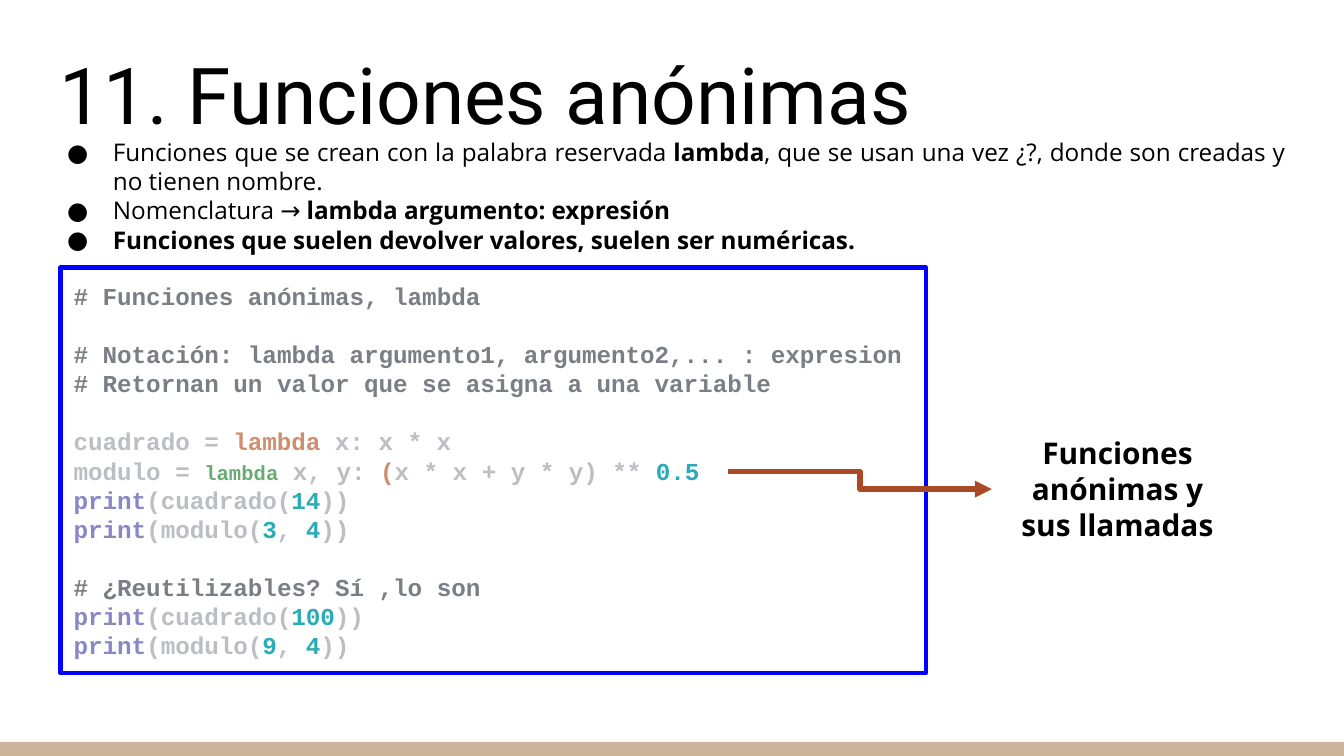
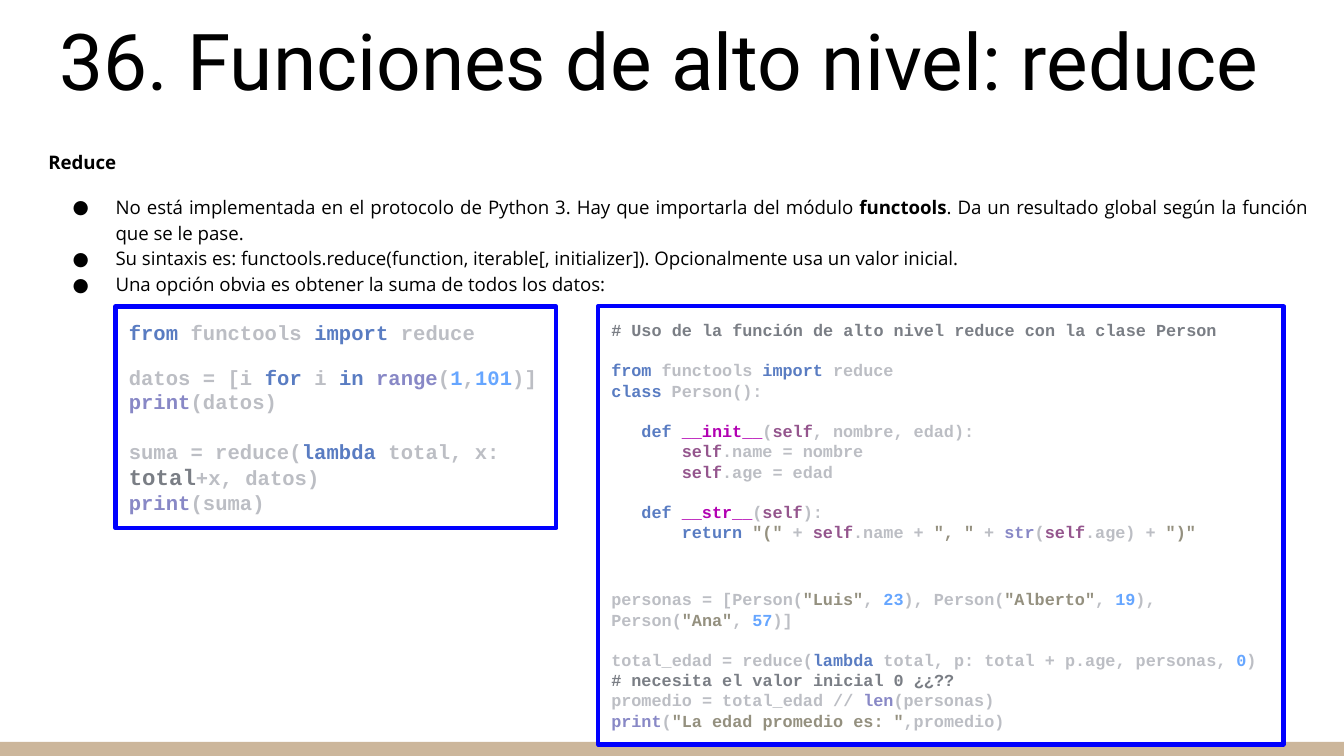
from lxml import etree
from pptx import Presentation
from pptx.dml.color import RGBColor
from pptx.enum.shapes import MSO_CONNECTOR, MSO_SHAPE
from pptx.enum.text import MSO_ANCHOR, MSO_AUTO_SIZE, PP_ALIGN
from pptx.oxml.ns import qn
from pptx.util import Inches, Pt

RECT, ELBOW = MSO_SHAPE.RECTANGLE, MSO_CONNECTOR.ELBOW
TOP, MIDDLE, BOTTOM = MSO_ANCHOR.TOP, MSO_ANCHOR.MIDDLE, MSO_ANCHOR.BOTTOM
LEFT, CENTER, JUST = PP_ALIGN.LEFT, PP_ALIGN.CENTER, PP_ALIGN.JUSTIFY
FIXED = MSO_AUTO_SIZE.NONE

COLORS = {
    "band": "CCB69B", "paper": "FFFFFF", "frame": "0000FF",
    "arrow": "AA4926", "text": "000000", "code": "BCBEC4",
}
# Markup: ~x...~ sets a piece of text in the ink x
INKS = {
    "c": "7A7E85",  # comment
    "o": "CF8E6D",  # orange keyword
    "g": "6AAB73",  # green keyword
    "n": "2AACB8",  # teal number
    "f": "8888C6",  # built-in function
    "k": "597CC2",  # blue keyword
    "d": "66A6FF",  # blue number
    "m": "B200B2",  # special method
    "s": "94558D",  # self
    "q": "94907F",  # quoted text
    "t": "7A7E85",  # larger grey name
    "b": "000000",  # bold body text
}
SIZES = {"g": 11, "t": 12}
MARGIN = Inches(0.1)
FRAME = {"margin_left": MARGIN, "margin_right": MARGIN, "margin_top": MARGIN,
         "margin_bottom": MARGIN, "word_wrap": True, "auto_size": FIXED}
HEAD = {"name": "Roboto", "size": Pt(42), "bold": False}


def rgb(name):
    return RGBColor.from_string(COLORS[name])


def put(item, values):
    for key, value in values.items():
        setattr(item, key, value)


class Deck:
    def __init__(self):
        self.prs = Presentation()
        put(self.prs, {"slide_width": Inches(10), "slide_height": Inches(5.625)})
        self.plan = self.prs.slide_layouts[1]
        self.slide = None

    def page(self, title, box):
        first = self.slide is None
        self.slide = self.prs.slides.add_slide(self.plan)
        if first:  # the band lives on the shared layout
            band = self.rect((0, 5.52, 10, 0.11), "band")
            self.plan.shapes.element.append(band.element)
        shape = self.slide.shapes.title
        self.place(shape, box)
        para = self.frame(shape, BOTTOM).paragraphs[0]
        self.ink(para, title, HEAD, "text", LEFT)

    def place(self, shape, box):
        put(shape, dict(zip(("left", "top", "width", "height"), map(Inches, box))))

    def frame(self, shape, anchor):
        put(shape.text_frame, {**FRAME, "vertical_anchor": anchor})
        return shape.text_frame

    def rect(self, box, fill, line=None):
        shape = self.slide.shapes.add_shape(RECT, *map(Inches, box))
        shape.shadow.inherit = False
        shape.fill.solid()
        shape.fill.fore_color.rgb = rgb(fill)
        if line:
            shape.line.color.rgb = rgb(line)
            shape.line.width = Pt(2.25)
        else:
            shape.line.fill.background()
        return shape

    def ink(self, para, text, font, color, align, gap=0, space=1.0):
        put(para, {"alignment": align, "space_before": Pt(gap),
                   "space_after": Pt(0), "line_spacing": space})
        for spot, piece in enumerate(text.split("~")):
            if not piece:
                continue
            run = para.add_run()
            put(run.font, font)
            run.font.color.rgb = rgb(color)
            run.text = piece
            if spot % 2:
                key = piece[0]
                run.text = piece[1:]
                run.font.bold = True
                run.font.color.rgb = RGBColor.from_string(INKS[key])
                if key in SIZES:
                    run.font.size = Pt(SIZES[key])

    def indent(self, para, left, hang=0):
        props = para._p.get_or_add_pPr()
        props.set("marL", str(Inches(left)))
        props.set("indent", str(Inches(hang)))
        return props

    def paras(self, frame, items):
        for spot, item in enumerate(items):
            yield (frame.add_paragraph() if spot else frame.paragraphs[0]), item

    def body(self, box, size, hang, items, lead=None, space=1.0):
        shape = self.slide.placeholders[1]
        self.place(shape, box)
        frame = self.frame(shape, TOP if lead else MIDDLE)
        font = {"name": "Open Sans", "size": Pt(size), "bold": False}
        if lead:
            frame.margin_top = Inches(0.2)
            items = [lead] + items
        for spot, (para, text) in enumerate(self.paras(frame, items)):
            gap = 10 if lead and spot == 1 else 0
            self.ink(para, text, font, "text", JUST, gap, space)
            if lead and spot == 0:
                etree.SubElement(self.indent(para, 0), qn("a:buNone"))
                continue
            props = self.indent(para, 0.5, hang)
            tint = etree.SubElement(props, qn("a:buClr"))
            etree.SubElement(tint, qn("a:srgbClr"), val=COLORS["text"])
            etree.SubElement(props, qn("a:buFont"), typeface="Open Sans")
            etree.SubElement(props, qn("a:buChar"), char="●")

    def code(self, box, size, lines):
        """Each line is (gap above in points, columns of indent, text)."""
        frame = self.frame(self.rect(box, "paper", "frame"), TOP)
        font = {"name": "Courier New", "size": Pt(size), "bold": True}
        for para, (gap, cols, text) in self.paras(frame, lines):
            self.ink(para, text, font, "code", LEFT, gap)
            self.indent(para, cols * size * 0.6 / 72)

    def label(self, box, text):
        shape = self.slide.shapes.add_textbox(*map(Inches, box))
        para = self.frame(shape, MIDDLE).paragraphs[0]
        font = {"name": "Open Sans", "size": Pt(16), "bold": True}
        self.ink(para, text, font, "text", CENTER)

    def arrow(self, *ends):
        link = self.slide.shapes.add_connector(ELBOW, *map(Inches, ends))
        link.line.color.rgb = rgb("arrow")
        link.line.width = Pt(3)
        props = link.element.spPr
        etree.SubElement(props.find(qn("a:ln")), qn("a:tailEnd"), type="triangle")
        etree.SubElement(props, qn("a:effectLst"))


def lambdas(deck):
    deck.page("11. Funciones anónimas", (0.34, 0.23, 9.32, 0.91))
    deck.body((0.24, 1.07, 9.42, 0.77), 13, -0.34, [
        "Funciones que se crean con la palabra reservada ~blambda~, "
        "que se usan una vez ¿?, donde son creadas y no tienen nombre.",
        "Nomenclatura → ~blambda argumento: expresión~",
        "~bFunciones que suelen devolver valores, suelen ser numéricas.~",
    ])
    gap = 15.6
    deck.code((0.45, 1.99, 6.44, 3.02), 13, [
        (0, 0, "~c# Funciones anónimas, lambda~"),
        (gap, 0, "~c# Notación: lambda argumento1, argumento2,... : expresion~"),
        (0, 0, "~c# Retornan un valor que se asigna a una variable~"),
        (gap, 0, "cuadrado = ~olambda ~x: x * x"),
        (0, 0, "modulo = ~glambda~ x, y: ~o(~x * x + y * y) ** ~n0.5~"),
        (0, 0, "~fprint~(cuadrado(~n14~))"),
        (0, 0, "~fprint~(modulo(~n3~, ~n4~))"),
        (gap, 0, "~c# ¿Reutilizables? Sí ,lo son~"),
        (0, 0, "~fprint~(cuadrado(~n100~))"),
        (0, 0, "~fprint~(modulo(~n9~, ~n4~))"),
    ])
    deck.label((7.38, 3.2, 1.87, 0.87), "Funciones anónimas y sus llamadas")
    deck.arrow(5.42, 3.51, 7.38, 3.64)


def reducer(deck):
    deck.page("36. Funciones de alto nivel: reduce", (0.34, 0.27, 9.32, 0.62))
    deck.body((0.26, 0.9, 9.57, 1.71), 10, -0.32, [
        "No está implementada en el protocolo de Python 3. Hay que importarla "
        "del módulo ~bfunctools~. Da un resultado global según la función "
        "que se le pase.",
        "Su sintaxis es: functools.reduce(function, iterable[, initializer]). "
        "Opcionalmente usa un valor inicial.",
        "Una opción obvia es obtener la suma de todos los datos:",
    ], lead="~bReduce~", space=1.15)
    gap = 10.8
    deck.code((0.86, 2.28, 3.28, 1.65), 11, [
        (0, 0, "~kfrom ~functools ~kimport ~reduce"),
        (gap, 0, "datos = [i ~kfor ~i ~kin ~~frange~(~d1~,~d101~)]"),
        (0, 0, "~fprint~(datos)"),
        (13.2, 0, "suma = reduce(~klambda ~total, x: ~ttotal~+x, datos)"),
        (0, 0, "~fprint~(suma)"),
    ])
    deck.code((4.45, 2.28, 5.1, 3.26), 9, [
        (0, 0, "~c# Uso de la función de alto nivel reduce con la clase Person~"),
        (gap, 0, "~kfrom ~functools ~kimport ~reduce"),
        (0, 0, "~kclass ~Person():"),
        (gap, 3, "~kdef ~~m__init__~(~sself~, nombre, edad):"),
        (0, 7, "~sself~.name = nombre"),
        (0, 7, "~sself~.age = edad"),
        (gap, 3, "~kdef ~~m__str__~(~sself~):"),
        (0, 7, '~kreturn ~~q"(" ~+ ~sself~.name + ~q", " ~+ ~fstr~(~sself~.age)'
               ' + ~q")"~'),
        (25.2, 0, 'personas = [Person(~q"Luis"~, ~d23~), Person(~q"Alberto"~, '
                  '~d19~), Person(~q"Ana"~, ~d57~)]'),
        (gap, 0, "total_edad = reduce(~klambda ~total, p: total + p.age, "
                 "personas, ~d0~) ~c# necesita el valor inicial 0 ¿¿??~"),
        (0, 0, "promedio = total_edad // ~flen~(personas)"),
        (0, 0, '~fprint~(~q"La edad promedio es: "~,promedio)'),
    ])


def main():
    deck = Deck()
    lambdas(deck)
    reducer(deck)
    deck.prs.save("out.pptx")


if __name__ == "__main__":
    main()
